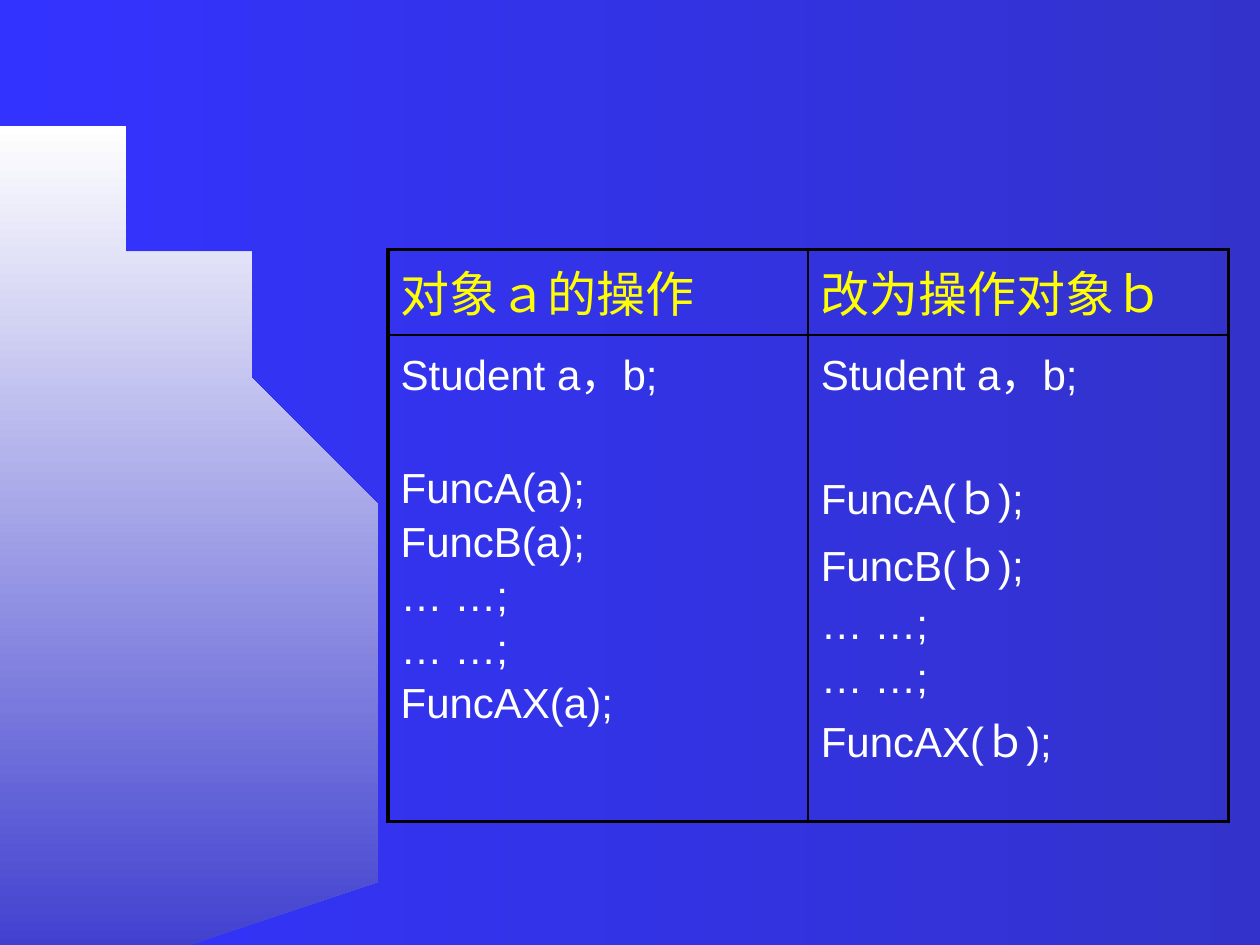
import math

from lxml import etree
from pptx import Presentation
from pptx.dml.color import RGBColor
from pptx.enum.text import PP_ALIGN
from pptx.oxml.ns import qn
from pptx.util import Inches, Pt

LEFT, JUST = PP_ALIGN.LEFT, PP_ALIGN.JUSTIFY
LATIN, HAN = "Arial", "Noto Sans CJK SC"
BLUE, DEEP, WHITE, YELLOW, BLACK = "3333FF", "3333CC", "FFFFFF", "FFFF00", "000000"
THIN, THICK = 1, 2.25

HEADS = ["对象ａ的操作", "改为操作对象ｂ"]
CALLS = ["FuncA({});", "FuncB({});", "… …;", "… …;", "FuncAX({});"]
NAMES = ["a", "ｂ"]


def color(code):
    return RGBColor.from_string(code)


def shade(fill, start, end, angle):
    fill.gradient()
    fill.gradient_angle = angle
    for stop, code in zip(fill.gradient_stops, (start, end)):
        stop.color.rgb = color(code)


def write(para, text, size=24, font=LATIN, code=WHITE, align=LEFT, before=0):
    para.alignment = align
    para.space_before = Pt(before)
    run = para.add_run()
    run.text = text
    run.font.size = Pt(size)
    run.font.name = font
    run.font.color.rgb = color(code)
    east = etree.SubElement(run.font._element, qn("a:ea"))
    east.set("typeface", HAN)


def border(cell, sides):
    props = cell._tc.get_or_add_tcPr()
    for side, width in sides.items():
        line = etree.SubElement(props, qn("a:ln" + side), w=str(Pt(width)))
        fill = etree.SubElement(line, qn("a:solidFill"))
        etree.SubElement(fill, qn("a:srgbClr"), val=BLACK)


def add_curve(slide, left, top, width, height):
    # Quarter ellipse rising from the lower left corner
    steps = 90
    turns = [math.pi / 2 * i / steps for i in range(steps + 1)]
    points = [(left + width * math.sin(t), top + height * (1 - math.cos(t)))
              for t in turns]
    points.append((left, top + height))
    build = slide.shapes.build_freeform(Inches(left), Inches(top), Inches(1))
    build = slide.shapes.build_freeform(left, top, Inches(1))
    build.add_line_segments(points[1:], close=True)
    shape = build.convert_to_shape()
    shape.shadow.inherit = False
    shape.line.fill.background()
    shade(shape.fill, WHITE, DEEP, 270)


def add_grid(slide, left, top, width, height):
    head = 0.68
    table = slide.shapes.add_table(2, 2, Inches(left), Inches(top),
                                   Inches(width), Inches(height)).table
    table.first_row = table.horz_banding = False
    table.rows[0].height = Inches(head)
    table.rows[1].height = Inches(height - head)

    # Heavy frame outside, thin rules inside
    for row in range(2):
        for col in range(2):
            cell = table.cell(row, col)
            border(cell, {"L": THIN if col else THICK, "R": THICK if col else THIN,
                          "T": THIN if row else THICK, "B": THICK if row else THIN})
            cell.fill.background()

    # Headings, then the code below each
    for col, (title, name) in enumerate(zip(HEADS, NAMES)):
        write(table.cell(0, col).text_frame.paragraphs[0], title,
              size=28, font=HAN, code=YELLOW)
        align = LEFT if col else JUST
        frame = table.cell(1, col).text_frame
        write(frame.paragraphs[0], "Student a，b;", align=align)
        for i, call in enumerate(CALLS):
            write(frame.add_paragraph(), call.format(name), align=align,
                  before=4 if i else 36)


def main():
    deck = Presentation()
    deck.slide_width, deck.slide_height = Inches(10), Inches(7.5)
    slide = deck.slides.add_slide(deck.slide_layouts[6])
    shade(slide.background.fill, BLUE, DEEP, 0)
    add_curve(slide, 0, 0.92, 3.17, 6.58)
    add_grid(slide, 3.08, 1.98, 6.67, 4.54)
    deck.save("out.pptx")


if __name__ == "__main__":
    main()
